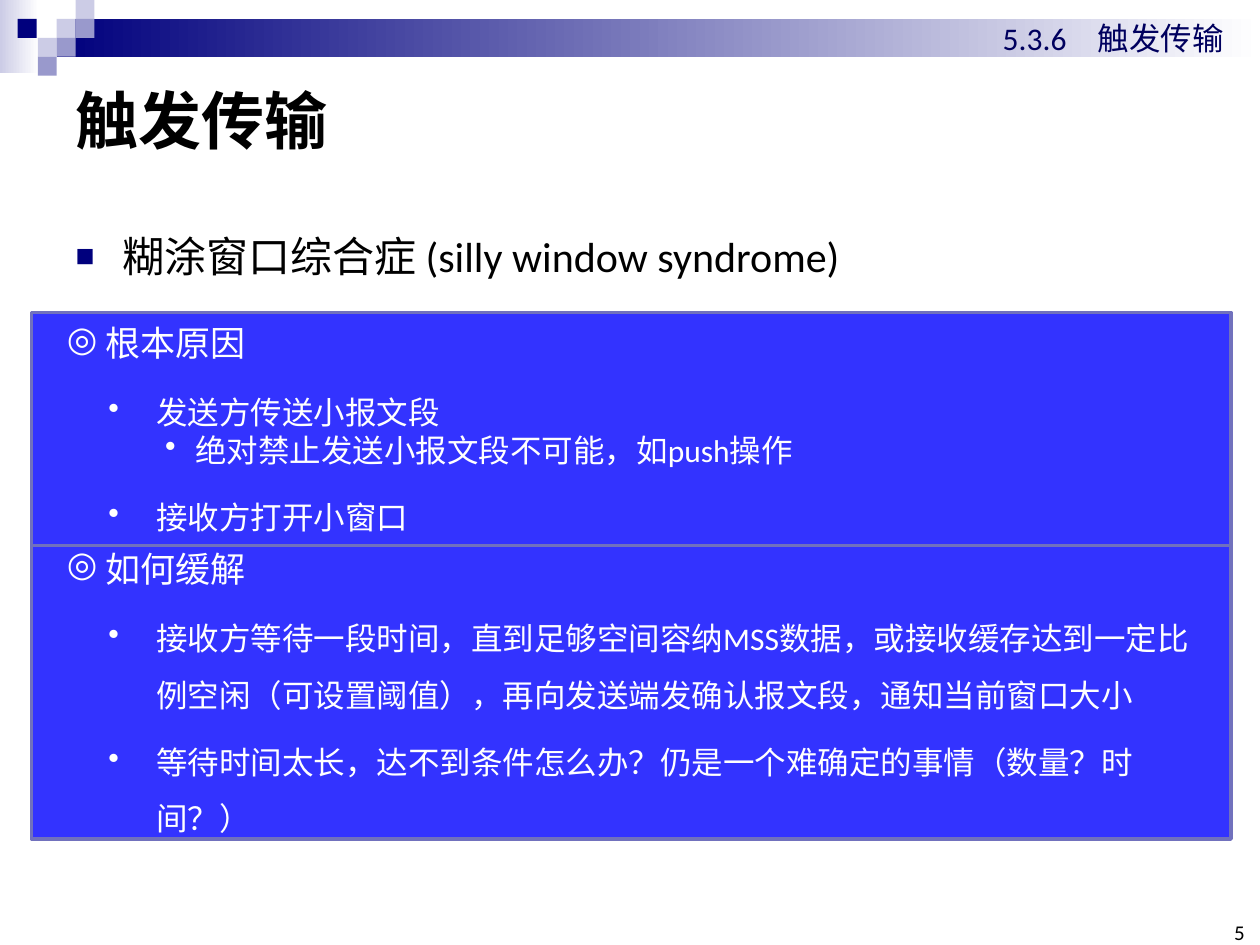
from dataclasses import dataclass

from lxml.etree import SubElement
from pptx import Presentation
from pptx.dml.color import RGBColor
from pptx.enum.shapes import MSO_SHAPE as Preset
from pptx.enum.text import MSO_ANCHOR as Anchor, MSO_AUTO_SIZE as AutoSize, PP_ALIGN as Align
from pptx.oxml.ns import qn
from pptx.util import Pt

PX = 9144  # EMU per px, 100 px to the inch

BLACK = RGBColor(0, 0, 0)
WHITE = RGBColor(0xFF, 0xFF, 0xFF)
NAVY = RGBColor(0x00, 0x00, 0x7D)
HEADER_BLUE = RGBColor(0x00, 0x00, 0x5E)
LAVENDER = RGBColor(0xCC, 0xCC, 0xE6)
PERIWINKLE = RGBColor(0x99, 0x99, 0xCC)
PANEL_BLUE = RGBColor(0x33, 0x33, 0xFF)
PANEL_EDGE = RGBColor(0x71, 0x71, 0xBD)

LATIN = "Calibri"
CJK = "Noto Sans CJK SC"


@dataclass
class Style:
    """Look of one kind of paragraph; margin and hang are in px."""
    size: int
    color: RGBColor
    font: str = LATIN
    bold: bool = False
    align: Align = Align.LEFT
    level: int = 0
    margin: int = 0
    hang: int = 0
    line_spacing: float = 1.0
    before: int = 0
    bullet: str = ""
    bullet_color: RGBColor = WHITE
    bullet_percent: int = 100


TITLE = Style(36, BLACK, bold=True)
TOPIC = Style(24, BLACK, margin=37, hang=37, line_spacing=1.5, before=18,
              bullet="■", bullet_color=NAVY, bullet_percent=75)
HEADING = Style(20, WHITE, font=CJK, margin=31, hang=31, bullet="◎")
POINT = Style(18, WHITE, level=1, margin=71, hang=38, line_spacing=1.5, before=6, bullet="•")
DETAIL = Style(18, WHITE, level=2, margin=102, hang=24, bullet="•")
SECTION = Style(18, HEADER_BLUE)
NUMBER = Style(12, BLACK, align=Align.RIGHT)


class SlideBuilder:
    def __init__(self, slide):
        self.slide = slide

    def place(self, shape, box):
        shape.left, shape.top, shape.width, shape.height = (n * PX for n in box)

    def fill_text(self, frame, lines, anchor, insets=(10, 5, 10, 5)):
        frame.word_wrap = True
        frame.auto_size = AutoSize.NONE
        frame.vertical_anchor = anchor
        (frame.margin_left, frame.margin_top,
         frame.margin_right, frame.margin_bottom) = (n * PX for n in insets)
        for index, (text, style) in enumerate(lines):
            paragraph = frame.add_paragraph() if index else frame.paragraphs[0]
            paragraph.text = text
            self.style_paragraph(paragraph, style)

    def style_paragraph(self, paragraph, style):
        paragraph.level = style.level
        paragraph.alignment = style.align
        paragraph.line_spacing = style.line_spacing
        paragraph.space_before = Pt(style.before)
        properties = paragraph._p.get_or_add_pPr()
        properties.set("marL", str(style.margin * PX))
        properties.set("indent", str(-style.hang * PX))
        if style.bullet:
            color = SubElement(properties, qn("a:buClr"))
            SubElement(color, qn("a:srgbClr"), val=str(style.bullet_color))
            SubElement(properties, qn("a:buSzPct"), val=str(style.bullet_percent * 1000))
            SubElement(properties, qn("a:buChar"), char=style.bullet)
        else:
            SubElement(properties, qn("a:buNone"))
        font = paragraph.font
        font.size, font.bold, font.name = Pt(style.size), style.bold, style.font
        font.color.rgb = style.color
        SubElement(font._element, qn("a:ea"), typeface=CJK)

    def placeholder(self, index, box, lines, anchor):
        shape = self.slide.placeholders[index]
        self.place(shape, box)
        self.fill_text(shape.text_frame, lines, anchor)

    def text(self, box, line, anchor, insets=(10, 5, 10, 5)):
        shape = self.slide.shapes.add_textbox(*(n * PX for n in box))
        self.fill_text(shape.text_frame, [line], anchor, insets)

    def rectangle(self, box, color):
        shape = self.slide.shapes.add_shape(Preset.RECTANGLE, *(n * PX for n in box))
        shape.shadow.inherit = False
        shape.fill.solid()
        shape.fill.fore_color.rgb = color
        shape.line.fill.background()
        return shape

    def fade(self, box, color):
        fill = self.rectangle(box, color).fill
        fill.gradient()
        fill.gradient_angle = 0
        for stop, stop_color in zip(fill.gradient_stops, (color, WHITE)):
            stop.color.rgb = stop_color

    def panel(self, box, lines):
        shape = self.rectangle(box, PANEL_BLUE)
        shape.line.color.rgb = PANEL_EDGE
        shape.line.width = Pt(2)
        self.fill_text(shape.text_frame, lines, Anchor.MIDDLE, (28, 0, 10, 0))


def main():
    presentation = Presentation()
    presentation.slide_width, presentation.slide_height = 1000 * PX, 750 * PX
    builder = SlideBuilder(presentation.slides.add_slide(presentation.slide_layouts[1]))

    # Header band and mosaic of squares
    builder.fade((0, 0, 31, 58), LAVENDER)
    builder.fade((45, 15, 955, 30), NAVY)
    for left, top, color in (
        (45, 15, LAVENDER), (60, 0, LAVENDER), (60, 15, PERIWINKLE), (30, 30, LAVENDER),
        (14, 15, NAVY), (45, 30, PERIWINKLE), (30, 45, PERIWINKLE),
    ):
        builder.rectangle((left, top, 15, 15), color)
    builder.text((786, 10, 203, 40), ("5.3.6　触发传输", SECTION), Anchor.TOP)

    # Title and topic
    builder.placeholder(0, (50, 50, 900, 89), [("触发传输", TITLE)], Anchor.MIDDLE)
    builder.placeholder(1, (50, 158, 938, 575),
                        [("糊涂窗口综合症 (silly window syndrome)", TOPIC)], Anchor.TOP)

    # Causes and remedies
    builder.panel((25, 248, 952, 185), [
        ("根本原因", HEADING),
        ("发送方传送小报文段", POINT),
        ("绝对禁止发送小报文段不可能，如push操作", DETAIL),
        ("接收方打开小窗口", POINT),
    ])
    builder.panel((25, 433, 952, 233), [
        ("如何缓解", HEADING),
        ("接收方等待一段时间，直到足够空间容纳MSS数据，或接收缓存达到一定比例空闲"
         "（可设置阈值），再向发送端发确认报文段，通知当前窗口大小", POINT),
        ("等待时间太长，达不到条件怎么办？仍是一个难确定的事情（数量？时间？）", POINT),
    ])

    # Slide number
    builder.text((965, 733, 23, 17), ("5", NUMBER), Anchor.BOTTOM, (0, 0, 0, 0))

    presentation.save("out.pptx")


if __name__ == "__main__":
    main()
